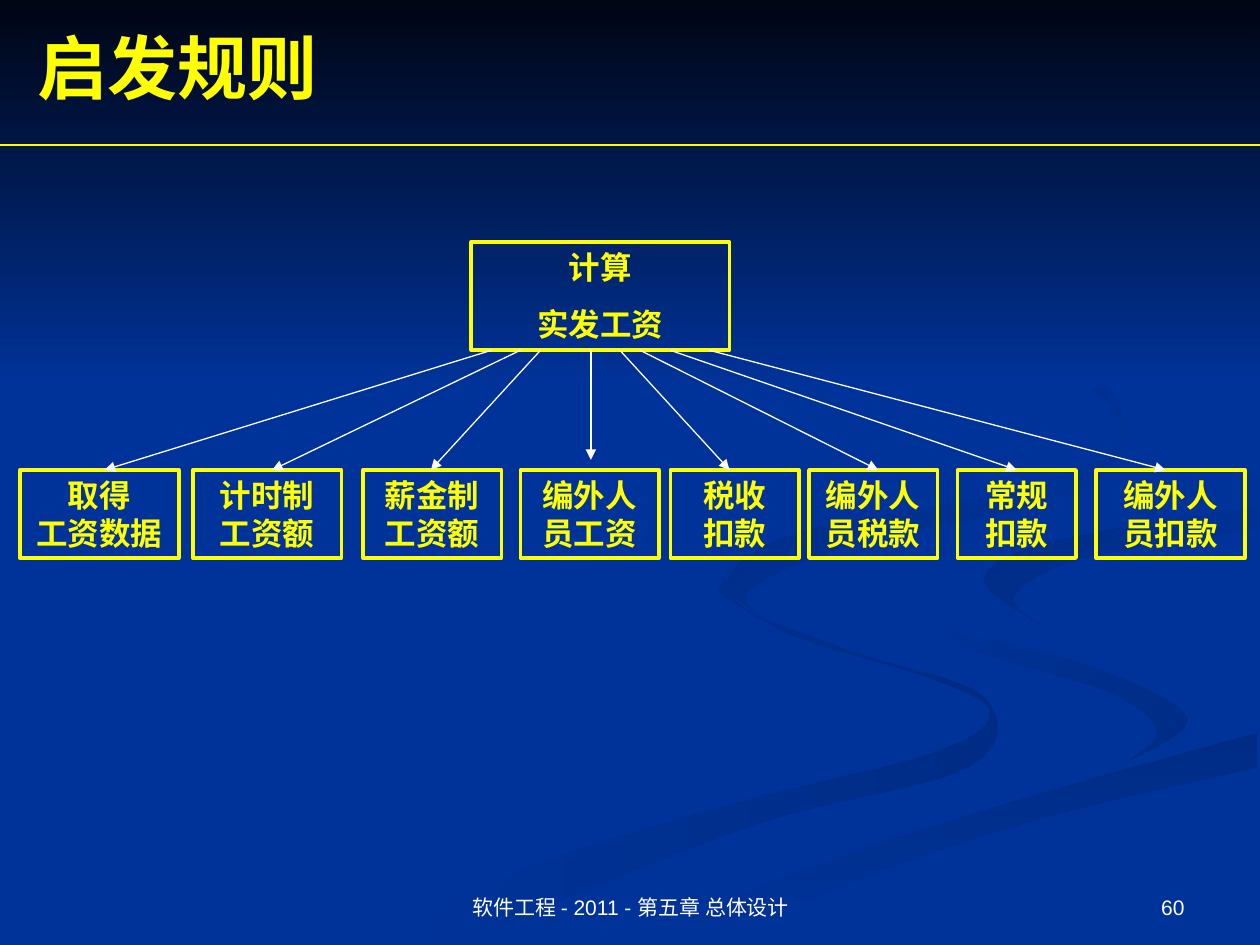
import dataclasses

import lxml.etree
import pptx
import pptx.dml.color
import pptx.enum.shapes
import pptx.enum.text
import pptx.oxml.ns
import pptx.util

Inches = pptx.util.Inches
Align = pptx.enum.text.PP_ALIGN
Anchor = pptx.enum.text.MSO_ANCHOR


@dataclasses.dataclass(frozen=True)
class Theme:
    """Colours, fonts and type sizes of the slide."""
    ground: str = "003399"
    night: str = "000514"
    shade: str = "002C85"
    accent: str = "FFFF00"
    plain: str = "FFFFFF"
    heading_font: str = "Times New Roman"
    footer_font: str = "Arial"
    title_size: int = 40
    node_size: int = 18
    footer_size: int = 12


THEME = Theme()
FADING = (THEME.shade, THEME.ground)
RISING = (THEME.ground, THEME.shade)

RIBBONS = [
    (FADING, 180,
     [(3, 7.49), (4.17, 6.9), (5.79, 6.39), (7.39, 5.98), (7.86, 5.66), (7.4, 5.39),
      (6.31, 5.05), (5.7, 4.7)],
     [(5.75, 4.59), (5.94, 4.85), (6.82, 5.19), (7.81, 5.53), (7.69, 6.09), (5.94, 6.56),
      (3.61, 7.49)]),
    (FADING, 225,
     [(7.24, 4.64), (7.58, 4.98), (8.7, 5.3), (9.43, 5.7), (8.94, 6.05)],
     [(8.94, 6.05), (9.18, 5.8), (8.8, 5.49), (7.66, 5.12), (7.24, 4.64)]),
    (FADING, 90,
     [(5.03, 7.49), (6.3, 6.93), (7.97, 6.38), (9.98, 5.81)],
     [(9.98, 6.09), (8.21, 6.51), (6.7, 7.02), (5.71, 7.49)]),
    ((THEME.ground, THEME.ground), 0,
     [(4.77, 7.49), (6.63, 6.68), (8.92, 6.05), (9.43, 5.7), (8.7, 5.3), (7.58, 4.98),
      (7.25, 4.6), (7.88, 4.22), (9.99, 3.87)],
     [(9.99, 4.02), (8.35, 4.3), (7.81, 4.63), (8.66, 5.09), (9.99, 5.38)],
     [(9.99, 5.81), (7.97, 6.38), (6.3, 6.93), (5.03, 7.49)]),
    (RISING, 225,
     [(8.26, 4.96), (7.81, 4.6), (8.35, 4.3), (9.98, 4.02)],
     [(9.98, 4.2), (8.59, 4.43), (8.05, 4.73), (8.26, 4.96)]),
    (RISING, 225,
     [(7.62, 2.33), (8.54, 2.83), (8.94, 3.44), (8.41, 3.96), (6.83, 4.3), (5.93, 4.7),
      (6.22, 5)],
     [(6.22, 5), (5.77, 4.62), (6.37, 4.22), (8.18, 3.86), (8.89, 3.35), (7.62, 2.33)]),
]

MODULES = [
    (0.16, 1.26, "取得 工资数据", 3.9, 0.83),
    (1.53, 1.18, "计时制 工资额", 4.13, 2.16),
    (2.88, 1.1, "薪金制 工资额", 4.29, 3.42),
    (4.13, 1.1, "编外人 员工资", 4.69, 4.69),
    (5.32, 1.02, "税收 扣款", 4.92, 5.79),
    (6.42, 1.02, "编外人 员税款", 5.08, 6.97),
    (7.6, 0.94, "常规 扣款", 5.32, 8.07),
    (8.7, 1.18, "编外人 员扣款", 5.63, 9.25),
]


def rgb(value):
    """Return a colour from its hex value."""
    return pptx.dml.color.RGBColor.from_string(value)


def smooth_edge(knots, steps=6):
    """Return points on a Catmull-Rom curve through the knots."""
    padded = [knots[0], *knots, knots[-1]]
    points = [knots[0]]
    for a, b, c, d in zip(padded, padded[1:], padded[2:], padded[3:]):
        for step in range(1, steps + 1):
            t = step / steps
            points.append(tuple(
                q + t * ((r - p) + t * ((2 * p - 5 * q + 4 * r - s)
                                        + t * (3 * q - p - 3 * r + s))) / 2
                for p, q, r, s in zip(a, b, c, d)))
    return points


def fill_gradient(shape, colors, angle):
    """Remove the outline and fill the shape with a clockwise-angled gradient."""
    shape.shadow.inherit = False
    shape.line.fill.background()
    shape.fill.gradient()
    shape.fill.gradient_angle = (360 - angle) % 360
    for stop, color in zip(shape.fill.gradient_stops, colors):
        stop.color.rgb = rgb(color)


def add_ribbon(page, colors, angle, *edges):
    """Add a curved background ribbon bounded by smooth edges."""
    corners = [(Inches(x), Inches(y)) for edge in edges for x, y in smooth_edge(edge)]
    builder = page.shapes.build_freeform(*corners[0])
    builder.add_line_segments(corners[1:], close=True)
    fill_gradient(builder.convert_to_shape(), colors, angle)


def add_rectangle(page, *bounds):
    """Add a rectangle at left, top, width and height in inches."""
    return page.shapes.add_shape(pptx.enum.shapes.MSO_SHAPE.RECTANGLE,
                                 *map(Inches, bounds))


def write_lines(box, lines, size, font, color, align, anchor, bold=False, gap=0):
    """Write one paragraph per line with a shared format."""
    frame = box.text_frame
    for name, value in {"word_wrap": True, "vertical_anchor": anchor,
                        "auto_size": pptx.enum.text.MSO_AUTO_SIZE.NONE}.items():
        setattr(frame, name, value)
    for index, line in enumerate(lines):
        para = frame.add_paragraph() if index else frame.paragraphs[0]
        para.alignment = align
        para.space_before = pptx.util.Pt(gap if index else 0)
        span = para.add_run()
        span.text = line
        for name, value in {"size": pptx.util.Pt(size), "name": font, "bold": bold}.items():
            setattr(span.font, name, value)
        span.font.color.rgb = rgb(color)


def add_title(page, text):
    """Place and format the title above the background shapes."""
    title = page.shapes.title
    title.element.getparent().append(title.element)
    for name, value in {"left": 0.2, "top": 0.14, "width": 9.8, "height": 0.77}.items():
        setattr(title, name, Inches(value))
    write_lines(title, [text], THEME.title_size, THEME.heading_font, THEME.accent,
                Align.LEFT, Anchor.MIDDLE, bold=True)


def add_module(page, bounds, lines, gap=0):
    """Add an outlined module box with centred lines."""
    box = add_rectangle(page, *bounds)
    box.shadow.inherit = False
    box.fill.background()
    box.line.color.rgb = rgb(THEME.accent)
    box.line.width = pptx.util.Pt(2)
    write_lines(box, lines, THEME.node_size, THEME.heading_font, THEME.accent,
                Align.CENTER, Anchor.TOP, bold=True, gap=gap)


def add_line(page, start, end, color, arrow=False):
    """Add a thin straight line, with an arrowhead at its end on request."""
    line = page.shapes.add_connector(pptx.enum.shapes.MSO_CONNECTOR.STRAIGHT,
                                     *map(Inches, start + end))
    line.line.color.rgb = rgb(color)
    line.line.width = pptx.util.Pt(0.75)
    qn = pptx.oxml.ns.qn
    properties = line.element.spPr
    if arrow:
        lxml.etree.SubElement(properties.find(qn("a:ln")), qn("a:tailEnd"), type="triangle")
    lxml.etree.SubElement(properties, qn("a:effectLst"))


def add_footer(page, left, width, text, align):
    """Add a text box on the footer row."""
    box = page.shapes.add_textbox(*map(Inches, (left, 6.83, width, 0.52)))
    write_lines(box, [text], THEME.footer_size, THEME.footer_font, THEME.plain,
                align, Anchor.BOTTOM)


def main():
    """Build and save the slide."""
    deck = pptx.Presentation()
    deck.slide_width, deck.slide_height = Inches(10), Inches(7.5)
    page = deck.slides.add_slide(deck.slide_layouts[5])
    page.background.fill.solid()
    page.background.fill.fore_color.rgb = rgb(THEME.ground)
    for ribbon in RIBBONS:
        add_ribbon(page, *ribbon)
    fill_gradient(add_rectangle(page, 0, 0, 10, 3.08), (THEME.night, THEME.ground), 90)
    add_title(page, "启发规则")
    add_line(page, (0, 1.15), (10, 1.15), THEME.accent)
    add_module(page, (3.74, 1.92, 2.05, 0.86), ["计算", "实发工资"], gap=11.2)
    for left, width, label, start, tip in MODULES:
        add_module(page, (left, 3.73, width, 0.7), label.split())
        reach = 3.65 if start == tip else 3.73
        add_line(page, (start, 2.78), (tip, reach), THEME.plain, arrow=True)
    add_footer(page, 3.42, 3.17, "软件工程 - 2011 - 第五章 总体设计", Align.CENTER)
    add_footer(page, 7.17, 2.33, "60", Align.RIGHT)
    deck.save("out.pptx")


if __name__ == "__main__":
    main()
